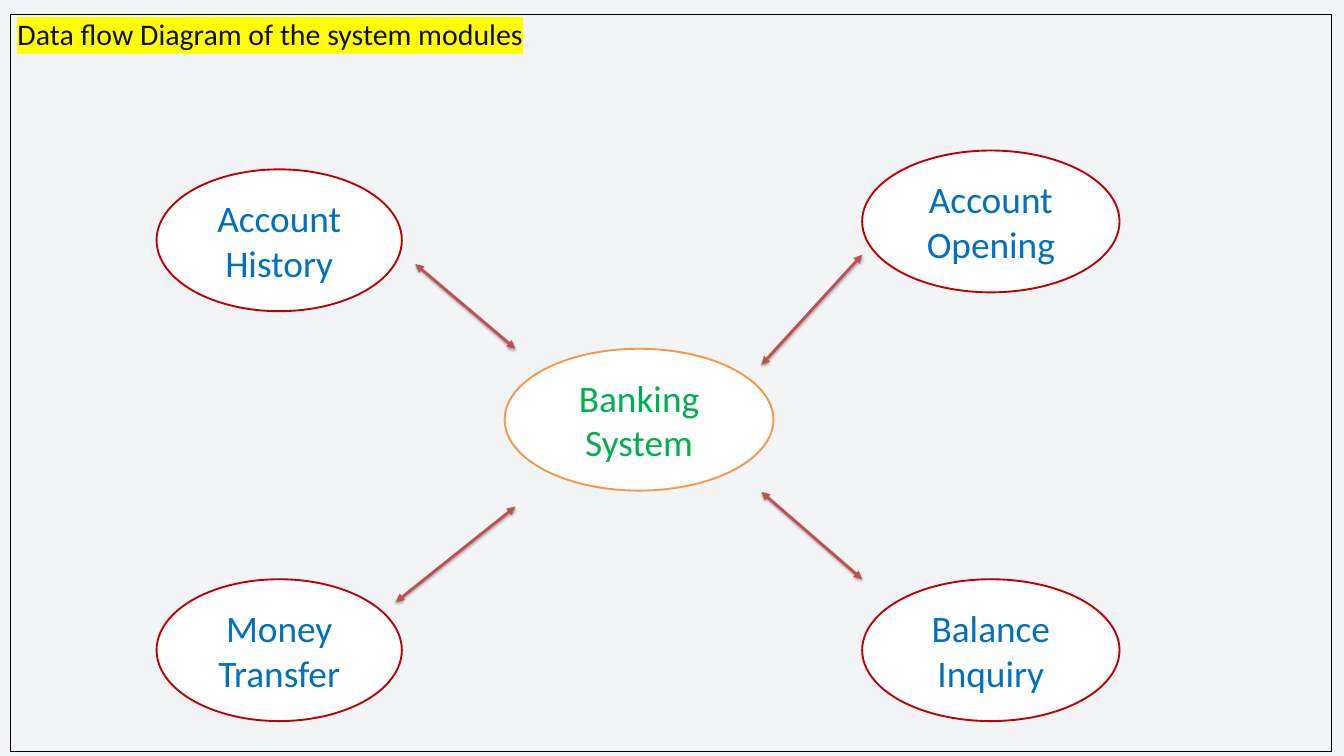
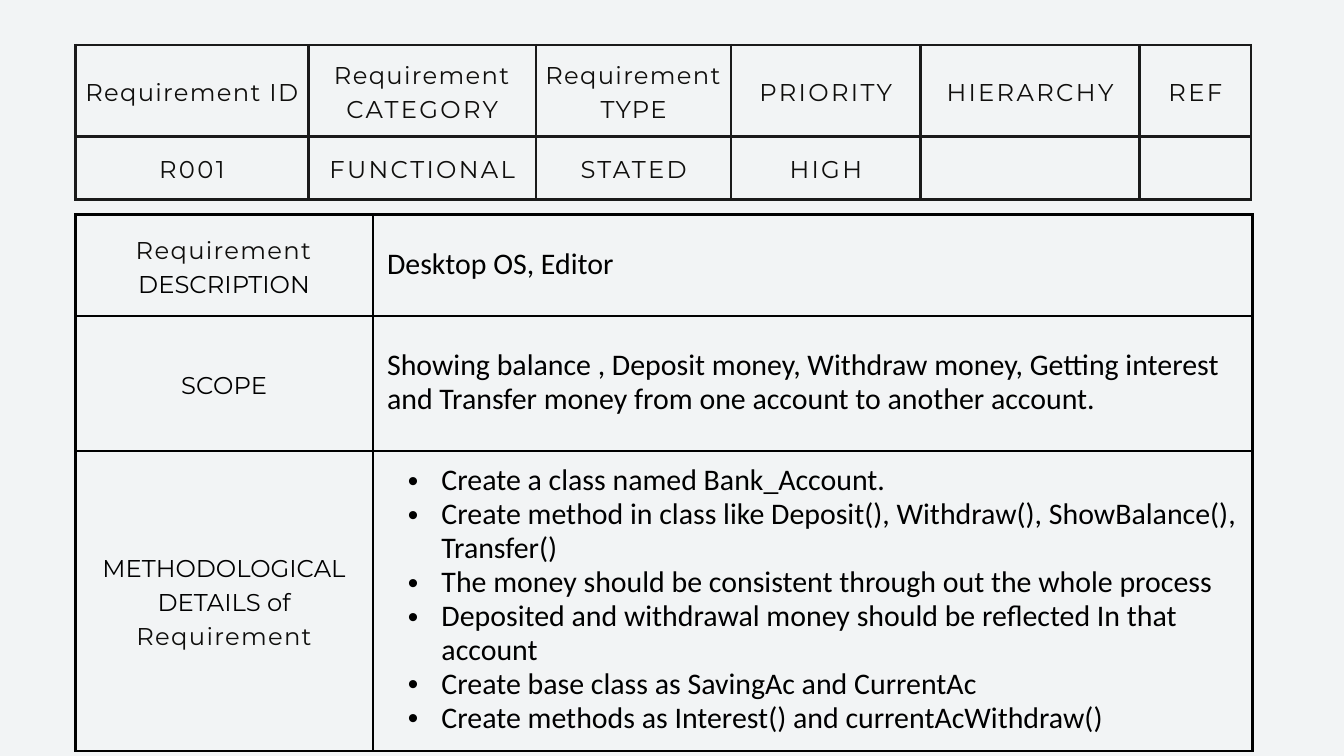
import dataclasses

import pptx
import pptx.dml.color
import pptx.enum.shapes
import pptx.enum.text
import pptx.oxml
import pptx.oxml.ns
import pptx.util

Inches, Pt = pptx.util.Inches, pptx.util.Pt
Align, Anchor = pptx.enum.text.PP_ALIGN, pptx.enum.text.MSO_ANCHOR


@dataclasses.dataclass(frozen=True)
class Theme:
    wide: float = 20
    high: float = 11.25
    back: str = "F2F4F5"
    white: str = "FFFFFF"
    black: str = "000000"
    ink: str = "100F0D"
    jet: str = "010101"
    edge: str = "1A1A1A"
    mark: str = "FFFF00"
    red: str = "C00000"
    blue: str = "0070C0"
    green: str = "00B050"
    orange: str = "F79646"
    arrow: str = "C0504D"
    body: str = "Calibri"
    label: str = "Montserrat"
    small: float = 26
    text: float = 32
    large: float = 40
    lead: float = 36.4


THEME = Theme()


@dataclasses.dataclass(frozen=True)
class Style:
    font: str
    size: float
    color: str
    space: float = 0
    mark: str = ""


HEADING = Style(THEME.body, THEME.text, THEME.ink, mark=THEME.mark)
NODE = Style(THEME.body, THEME.large, THEME.blue)
HUB = Style(THEME.body, THEME.large, THEME.green)
TEXT = Style(THEME.body, THEME.text, THEME.black)
PLAIN = Style(THEME.label, THEME.small, THEME.jet)
LOOSE = Style(THEME.label, THEME.small, THEME.ink, 1.4)
CAPS = Style(THEME.label, THEME.small, THEME.ink, 2.5)


# Lengths are percentages of the slide's width and height
def across(share):
    return Inches(THEME.wide * share / 100)


def down(share):
    return Inches(THEME.high * share / 100)


def rgb(code):
    return pptx.dml.color.RGBColor.from_string(code)


def add_xml(parent, body):
    space = pptx.oxml.ns.nsdecls("a")
    tag, rest = body[1:].split(" ", 1)
    node = pptx.oxml.parse_xml(f"<{tag} {space} {rest}")
    parent.append(node)
    return node


# Text
def add_run(para, text, style):
    run = para.add_run()
    run.text = text
    font = run.font
    font.size, font.bold = Pt(style.size), False
    font.color.rgb = rgb(style.color)
    props = run._r.get_or_add_rPr()
    if style.space:
        props.set("spc", str(round(style.space * 100)))
    if style.mark:
        add_xml(props, f'<a:highlight ><a:srgbClr val="{style.mark}"/></a:highlight>')
    font.name = style.font


def add_para(frame, runs, align, first, lead=None):
    para = frame.paragraphs[0] if first else frame.add_paragraph()
    para.alignment = align
    if lead:
        para.line_spacing = Pt(lead)
    for text, style in runs:
        add_run(para, text, style)
    return para


def add_bullet(para):
    para.level = 1
    props = para._p.get_or_add_pPr()
    props.set("marL", str(Inches(0.81)))
    props.set("indent", str(Inches(-0.5)))
    add_xml(props, '<a:buFont typeface="Arial"/>')
    add_xml(props, '<a:buChar char="•"/>')


# Tables
def set_edges(cell, color, width):
    props = cell._tc.get_or_add_tcPr()
    for side in "LRTB":
        add_xml(props, f'<a:ln{side} w="{Pt(width)}"><a:solidFill><a:srgbClr val="{color}"/>'
                       f'</a:solidFill></a:ln{side}>')
    cell.fill.background()


def add_grid(slide, left, top, cols, rows, color, width):
    frame = slide.shapes.add_table(len(rows), len(cols), across(left), down(top),
                                   across(sum(cols)), down(sum(rows)))
    table = frame.table
    table.first_row = table.horz_banding = False
    for col, share in zip(table.columns, cols):
        col.width = across(share)
    for row, share in zip(table.rows, rows):
        row.height = down(share)
    for cell in table.iter_cells():
        set_edges(cell, color, width)
    return table


def fill_cell(cell, paras, inset, align=Align.CENTER, bullets=False):
    cell.vertical_anchor = Anchor.MIDDLE
    cell.margin_left = cell.margin_right = Inches(inset)
    cell.margin_top = cell.margin_bottom = Inches(inset)
    for index, runs in enumerate(paras):
        para = add_para(cell.text_frame, runs, align, index == 0, THEME.lead)
        if bullets:
            add_bullet(para)


# Diagram parts
def add_oval(slide, text, left, top, width, line=THEME.red, style=NODE):
    oval = slide.shapes.add_shape(pptx.enum.shapes.MSO_SHAPE.OVAL, across(left),
                                  down(top), across(width), down(18.76))
    oval.shadow.inherit = False
    oval.fill.solid()
    oval.fill.fore_color.rgb = rgb(THEME.white)
    oval.line.color.rgb = rgb(line)
    oval.line.width = Pt(2)
    oval.text_frame.word_wrap = True
    oval.text_frame.vertical_anchor = Anchor.MIDDLE
    add_para(oval.text_frame, [(text, style)], Align.CENTER, True)


def add_arrow(slide, start, end):
    arrow = slide.shapes.add_connector(
        pptx.enum.shapes.MSO_CONNECTOR.STRAIGHT,
        across(start[0]), down(start[1]), across(end[0]), down(end[1]))
    arrow.line.color.rgb = rgb(THEME.arrow)
    arrow.line.width = Pt(3)
    line = arrow.line._get_or_add_ln()
    for tip in ("head", "tail"):
        add_xml(line, f'<a:{tip}End type="triangle"/>')
    add_xml(arrow._element.spPr,
            f'<a:effectLst ><a:outerShdw blurRad="{Pt(3.1)}" dist="{Pt(1.8)}" dir="5400000" '
            f'rotWithShape="0"><a:srgbClr val="{THEME.black}"><a:alpha val="35000"/>'
            '</a:srgbClr></a:outerShdw></a:effectLst>')


# Slides
def draw_flow(slide):
    frame = add_grid(slide, 0.8, 1.87, [98.25], [97.51], THEME.black, 1)
    add_para(frame.cell(0, 0).text_frame,
             [("Data flow Diagram of the system modules", HEADING)], Align.LEFT, True)

    add_oval(slide, "Banking System", 37.55, 46.13, 20, THEME.orange, HUB)
    west, east = (11.65, 18.25), (64.15, 19.15)
    for text, (left, width), top in (
            ("Account Opening", east, 19.91),
            ("Money Transfer", west, 76.62),
            ("Balance Inquiry", east, 76.62),
            ("Account History", west, 22.4)):
        add_oval(slide, text, left, top, width)

    for start, end in (((56.65, 48.27), (64.15, 33.69)),
                       ((56.65, 65.07), (64.15, 76.62)),
                       ((29.45, 79.64), (38.35, 67.02)),
                       ((30.9, 34.93), (38.35, 46.13))):
        add_arrow(slide, start, end)


def draw_needs(slide):
    left = 5.6

    # Summary of the requirement
    table = add_grid(slide, left, 5.96, [17.35, 16.95, 14.5, 14.1, 16.3, 8.3],
                     [12.09, 8.36], THEME.edge, 3)
    heads = ([("Requirement ID", LOOSE)],
             [("Requirement ", LOOSE), ("CATEGORY", CAPS)],
             [("Requirement TYPE", LOOSE)],
             [("PRIORITY", CAPS)], [("HIERARCHY", CAPS)], [("REF", CAPS)])
    for col, runs in enumerate(heads):
        fill_cell(table.cell(0, col), [runs], 0.12)
    for col, text in enumerate(("R001", "FUNCTIONAL", "STATED", "HIGH")):
        fill_cell(table.cell(1, col), [[(text, CAPS)]], 0.12)

    # Details of the requirement
    table = add_grid(slide, left, 28.36, [22.15, 65.45], [13.42, 17.87, 39.29],
                     THEME.black, 3)
    details = (
        ([("Requirement ", LOOSE), ("DESCRIPTION", PLAIN)],
         ["Desktop OS, Editor"]),
        ([("SCOPE", PLAIN)],
         ["Showing balance , Deposit money, Withdraw money, Getting interest "
          "and Transfer money from one account to another account."]),
        ([("METHODOLOGICAL DETAILS of ", PLAIN), ("Requirement", LOOSE)],
         ["Create a class named Bank_Account.",
          "Create method in class like Deposit(), Withdraw(), ShowBalance(), Transfer()",
          "The money should be consistent through out the whole process",
          "Deposited and withdrawal money should be reflected In that account",
          "Create base class as SavingAc and CurrentAc",
          "Create methods as Interest() and currentAcWithdraw()"]))
    for row, (label, lines) in enumerate(details):
        fill_cell(table.cell(row, 0), [label], 0.21)
        fill_cell(table.cell(row, 1), [[(line, TEXT)] for line in lines], 0.21,
                  Align.LEFT, bullets=len(lines) > 1)


def main():
    deck = pptx.Presentation()
    deck.slide_width, deck.slide_height = Inches(THEME.wide), Inches(THEME.high)
    fill = deck.slide_master.background.fill
    fill.solid()
    fill.fore_color.rgb = rgb(THEME.back)
    blank = deck.slide_layouts.get_by_name("Blank")
    for draw in (draw_flow, draw_needs):
        draw(deck.slides.add_slide(blank))
    deck.save("out.pptx")


if __name__ == "__main__":
    main()
